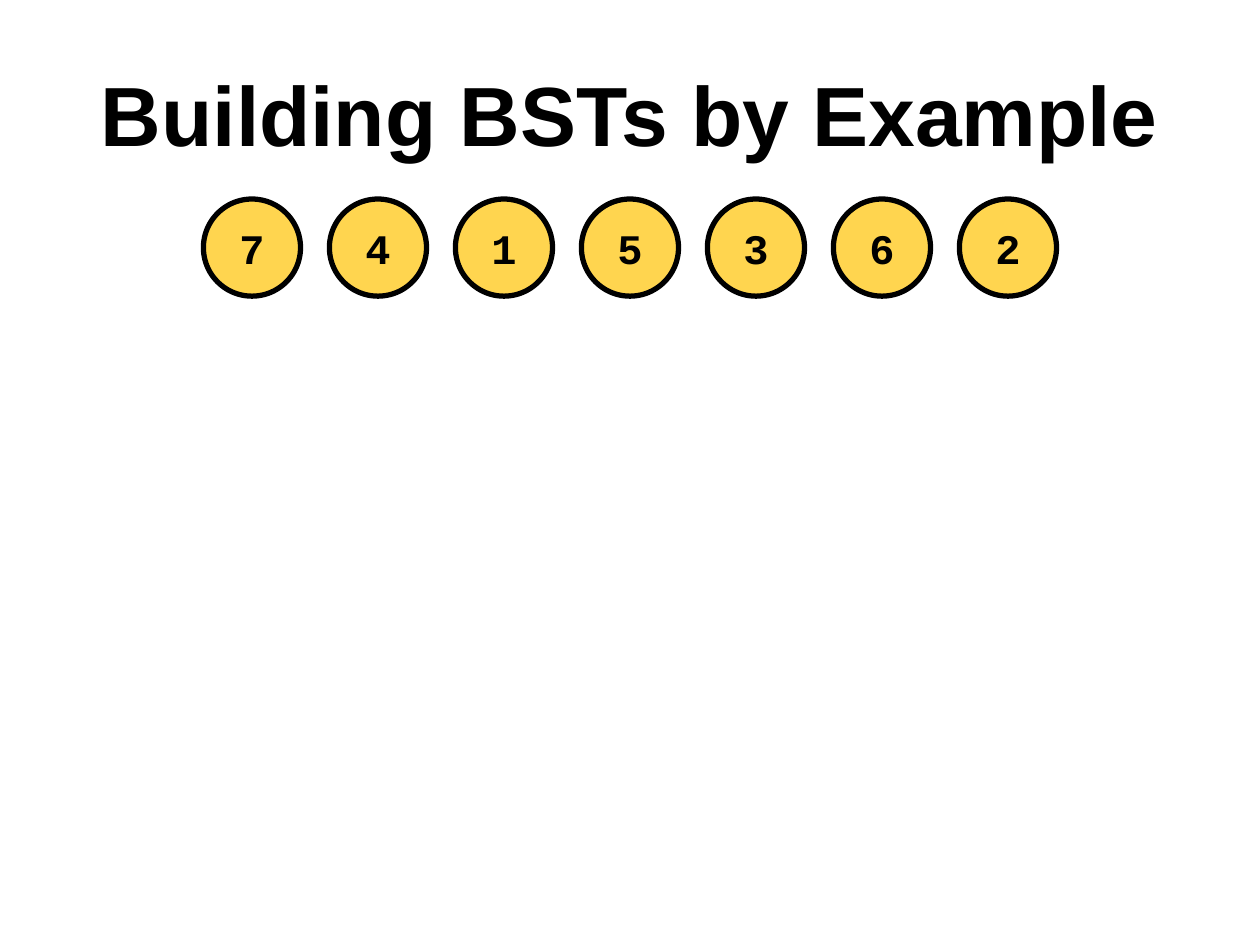
import dataclasses

import pptx
import pptx.dml.color
import pptx.enum.shapes
import pptx.enum.text
import pptx.util

Pt = pptx.util.Pt
MSO_ANCHOR = pptx.enum.text.MSO_ANCHOR


@dataclasses.dataclass(frozen=True)
class Theme:
    ink: str = "000000"
    node_fill: str = "FFD54F"
    title_font: str = "Arial"
    node_font: str = "Courier New"
    title_size: float = 48
    node_size: float = 24
    outline: float = 3
    inset: float = 7.2


class SlideBuilder:
    def __init__(self, slide, theme):
        self.s = slide
        self.theme = theme

    def color(self, value):
        return pptx.dml.color.RGBColor.from_string(value)

    def set_label(self, sp, text, font, size, anchor):
        """Set one centred bold line in a shape."""
        tf = sp.text_frame
        tf.word_wrap = True
        tf.vertical_anchor = anchor
        tf.margin_left = tf.margin_right = Pt(self.theme.inset)
        tf.margin_top = tf.margin_bottom = Pt(self.theme.inset)
        p = tf.paragraphs[0]
        p.alignment = pptx.enum.text.PP_ALIGN.CENTER
        r = p.add_run()
        r.text = text
        r.font.name = font
        r.font.size = Pt(size)
        r.font.bold = True
        r.font.color.rgb = self.color(self.theme.ink)

    def title(self, text, left, top, width, height):
        sp = self.s.shapes.add_textbox(Pt(left), Pt(top), Pt(width), Pt(height))
        self.set_label(sp, text, self.theme.title_font, self.theme.title_size, MSO_ANCHOR.TOP)
        sp.text_frame.margin_top = Pt(12)

    def node(self, key, center_x, center_y, diameter):
        sp = self.s.shapes.add_shape(
            pptx.enum.shapes.MSO_SHAPE.OVAL,
            Pt(center_x - diameter / 2), Pt(center_y - diameter / 2),
            Pt(diameter), Pt(diameter))
        sp.shadow.inherit = False
        sp.fill.solid()
        sp.fill.fore_color.rgb = self.color(self.theme.node_fill)
        sp.line.color.rgb = self.color(self.theme.ink)
        sp.line.width = Pt(self.theme.outline)
        self.set_label(sp, key, self.theme.node_font, self.theme.node_size, MSO_ANCHOR.MIDDLE)


def main():
    prs = pptx.Presentation()
    prs.slide_width, prs.slide_height = Pt(720), Pt(540)
    builder = SlideBuilder(prs.slides.add_slide(prs.slide_layouts[6]), Theme())

    builder.title("Building BSTs by Example", 0, 24, 720, 90)

    keys = "7415362"
    pitch = 72
    first_x = 360 - pitch * (len(keys) - 1) / 2
    for i, key in enumerate(keys):
        builder.node(key, first_x + i * pitch, 141.5, 55.5)

    prs.save("out.pptx")


if __name__ == "__main__":
    main()
